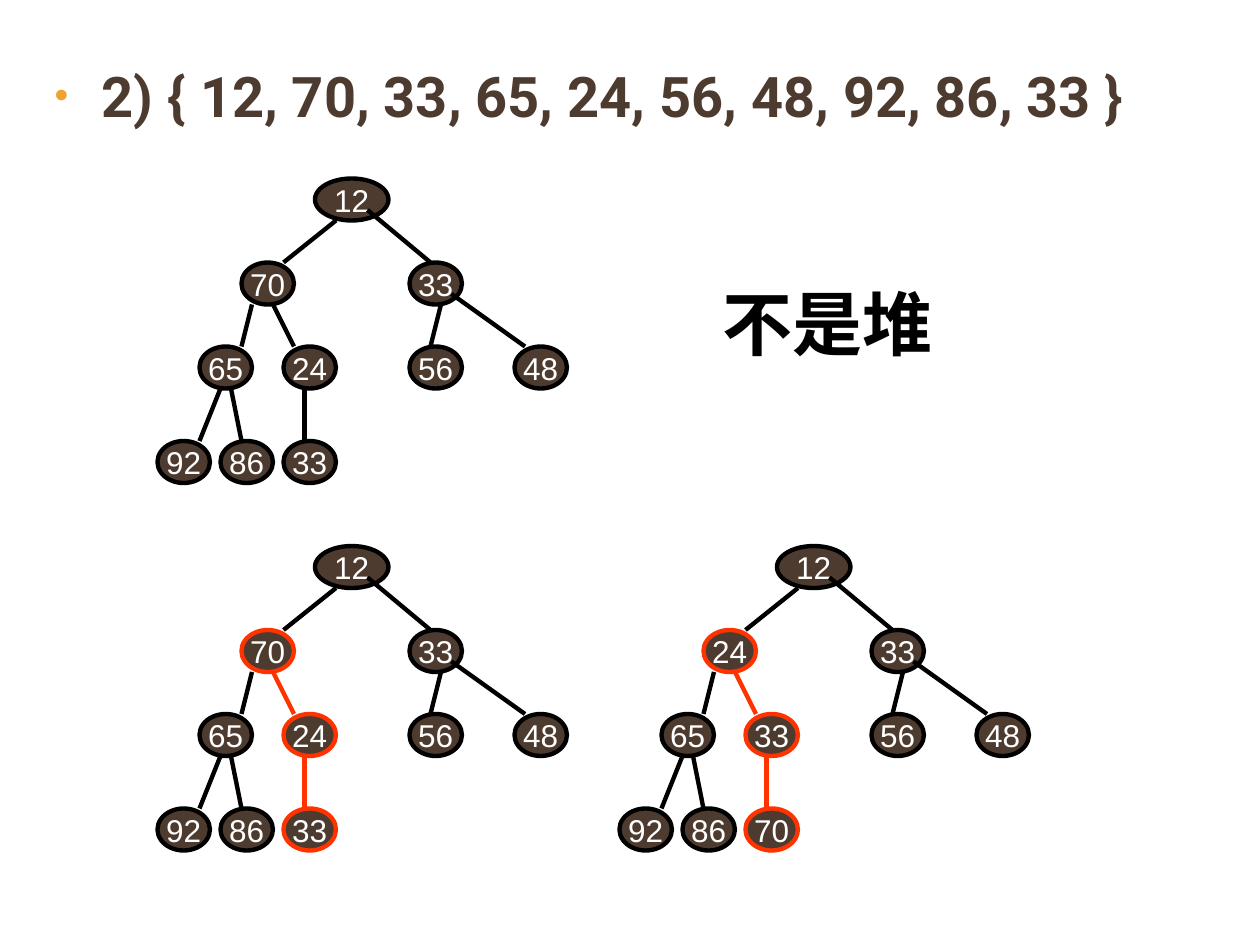
from dataclasses import dataclass

from lxml.etree import SubElement
from pptx import Presentation
from pptx.dml.color import RGBColor
from pptx.enum.shapes import MSO_CONNECTOR, MSO_SHAPE
from pptx.enum.text import MSO_ANCHOR, MSO_AUTO_SIZE, PP_ALIGN
from pptx.oxml.ns import qn
from pptx.slide import Slide
from pptx.text.text import _Paragraph
from pptx.util import Emu, Pt

PX = 9525  # EMU per px, 96 px to the inch
GRID = 8  # px per grid step inside a tree

BROWN = RGBColor(0x4E, 0x3B, 0x30)
ORANGE = RGBColor(0xF0, 0xA2, 0x2E)
RED = RGBColor(0xFF, 0x33, 0x00)
BLACK = RGBColor(0x00, 0x00, 0x00)
WHITE = RGBColor(0xFF, 0xFF, 0xFF)


@dataclass(frozen=True)
class NodeSlot:
    """Grid place of a node, and of the edge from its parent (x1, y1, x2, y2)."""
    left: int
    top: int
    width: int = 5
    edge: tuple[int, int, int, int] | None = None


@dataclass(frozen=True)
class Tree:
    left: int
    top: int
    values: tuple[int, ...]
    highlighted: frozenset[int] = frozenset()


# Slots in level order: the parent of slot i is (i - 1) // 2
SLOTS = (
    NodeSlot(15, 0, width=7),
    NodeSlot(8, 8, edge=(17, 4, 12, 8)),
    NodeSlot(24, 8, edge=(20, 3, 26, 8)),
    NodeSlot(4, 16, edge=(9, 12, 8, 16)),
    NodeSlot(12, 16, edge=(11, 12, 13, 16)),
    NodeSlot(24, 16, edge=(27, 12, 26, 16)),
    NodeSlot(34, 16, edge=(28, 11, 35, 16)),
    NodeSlot(0, 25, edge=(6, 20, 4, 25)),
    NodeSlot(6, 25, edge=(7, 20, 8, 25)),
    NodeSlot(12, 25, edge=(14, 20, 14, 25)),
)
NODE_HEIGHT = 4

SEQUENCE = (12, 70, 33, 65, 24, 56, 48, 92, 86, 33)
ADJUSTED = (12, 24, 33, 65, 33, 56, 48, 92, 86, 70)
SIFT_PATH = frozenset({1, 4, 9})
TREES = (
    Tree(120, 416, SEQUENCE, SIFT_PATH),
    Tree(472, 416, ADJUSTED, SIFT_PATH),
    Tree(120, 136, SEQUENCE),
)


def px(length: int) -> Emu:
    return Emu(length * PX)


def add_run(paragraph: _Paragraph, text: str, size: int, color: RGBColor,
            font: str = "Arial", bold: bool = False) -> None:
    run = paragraph.add_run()
    run.text = text
    run.font.size = Pt(size)
    run.font.name = font
    run.font.bold = bold
    run.font.color.rgb = color


def add_bullet(paragraph: _Paragraph, color: RGBColor, percent: int, indent: int) -> None:
    properties = paragraph._p.get_or_add_pPr()
    properties.set("marL", str(px(indent)))
    properties.set("indent", str(px(-indent)))
    bullet_color = SubElement(properties, qn("a:buClr"))
    SubElement(bullet_color, qn("a:srgbClr"), val=str(color))
    SubElement(properties, qn("a:buSzPct"), val=str(percent * 1000))
    SubElement(properties, qn("a:buFont"), typeface="Arial")
    SubElement(properties, qn("a:buChar"), char="•")


def add_heading(slide: Slide) -> None:
    title = slide.shapes.title
    title.left, title.top, title.width, title.height = px(32), px(42), px(912), px(596)
    frame = title.text_frame
    frame.word_wrap = True
    frame.auto_size = MSO_AUTO_SIZE.NONE
    frame.vertical_anchor = MSO_ANCHOR.TOP
    paragraph = frame.paragraphs[0]
    add_bullet(paragraph, ORANGE, percent=70, indent=36)
    paragraph.alignment = PP_ALIGN.LEFT
    paragraph.space_before = Pt(0)
    numbers = ", ".join(str(value) for value in SEQUENCE)
    add_run(paragraph, f"2) {{ {numbers} }}", 32, BROWN, font="Roboto", bold=True)


def add_node(slide: Slide, tree: Tree, slot: NodeSlot, value: int, color: RGBColor) -> None:
    shape = slide.shapes.add_shape(
        MSO_SHAPE.OVAL,
        px(tree.left + slot.left * GRID), px(tree.top + slot.top * GRID),
        px(slot.width * GRID), px(NODE_HEIGHT * GRID))
    shape.shadow.inherit = False
    shape.fill.solid()
    shape.fill.fore_color.rgb = BROWN
    shape.line.color.rgb = color
    shape.line.width = Pt(2.5)
    frame = shape.text_frame
    frame.word_wrap = False
    frame.vertical_anchor = MSO_ANCHOR.MIDDLE
    paragraph = frame.paragraphs[0]
    paragraph.alignment = PP_ALIGN.CENTER
    add_run(paragraph, str(value), 18, WHITE)


def add_edge(slide: Slide, tree: Tree, edge: tuple[int, int, int, int], color: RGBColor) -> None:
    x1, y1, x2, y2 = (step * GRID for step in edge)
    connector = slide.shapes.add_connector(
        MSO_CONNECTOR.STRAIGHT,
        px(tree.left + x1), px(tree.top + y1), px(tree.left + x2), px(tree.top + y2))
    connector.line.color.rgb = color
    connector.line.width = Pt(2.5)
    SubElement(connector._element.spPr, qn("a:effectLst"))


def add_tree(slide: Slide, tree: Tree) -> None:
    for index, (slot, value) in enumerate(zip(SLOTS, tree.values)):
        marked = index in tree.highlighted
        add_node(slide, tree, slot, value, RED if marked else BLACK)
        if slot.edge:
            on_path = marked and (index - 1) // 2 in tree.highlighted
            add_edge(slide, tree, slot.edge, RED if on_path else BLACK)


def add_verdict(slide: Slide) -> None:
    box = slide.shapes.add_textbox(px(541), px(209), px(179), px(74))
    box.text_frame.word_wrap = False
    add_run(box.text_frame.paragraphs[0], "不是堆", 40, BLACK, bold=True)


def main() -> None:
    presentation = Presentation()
    presentation.slide_width, presentation.slide_height = px(960), px(720)
    slide = presentation.slides.add_slide(presentation.slide_layouts[5])

    # Heading with the sequence under test
    add_heading(slide)

    # Adjustment steps below, the tree as given above
    for tree in TREES:
        add_tree(slide, tree)

    # Verdict on the given tree
    add_verdict(slide)

    presentation.save("out.pptx")


if __name__ == "__main__":
    main()
